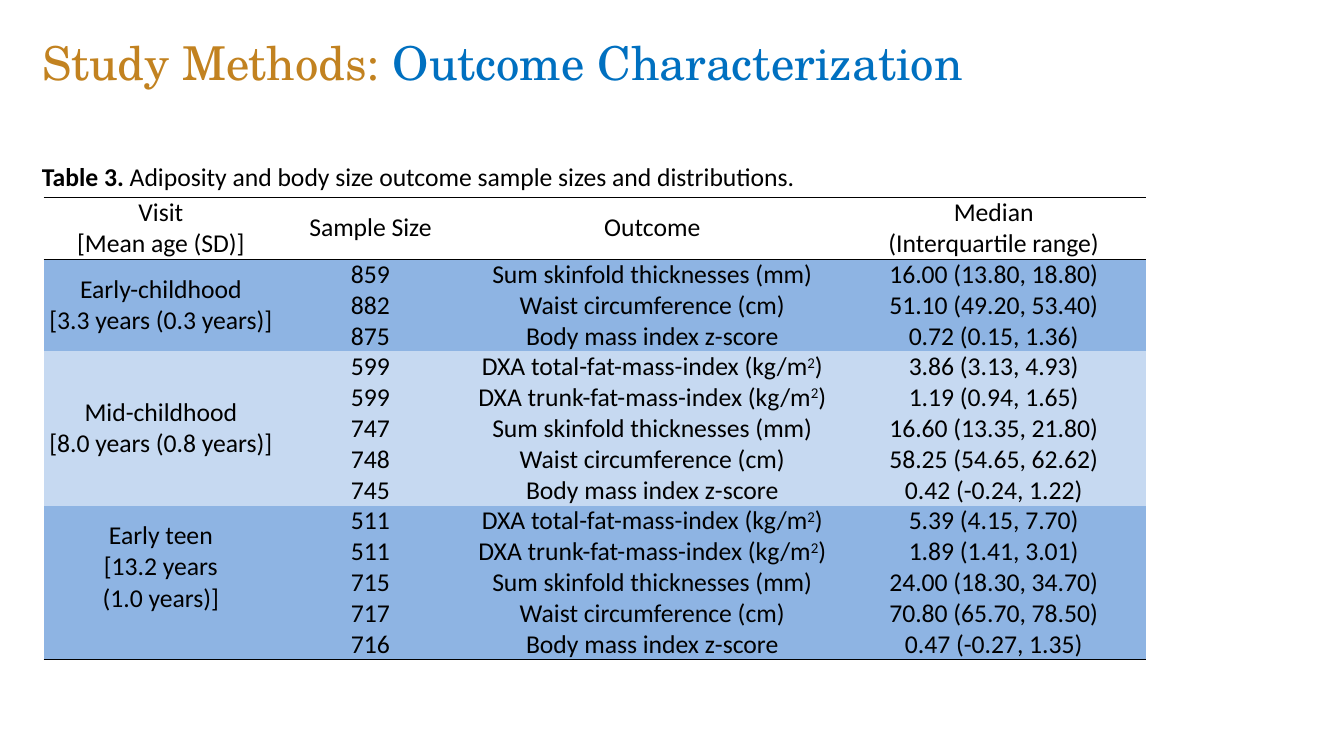
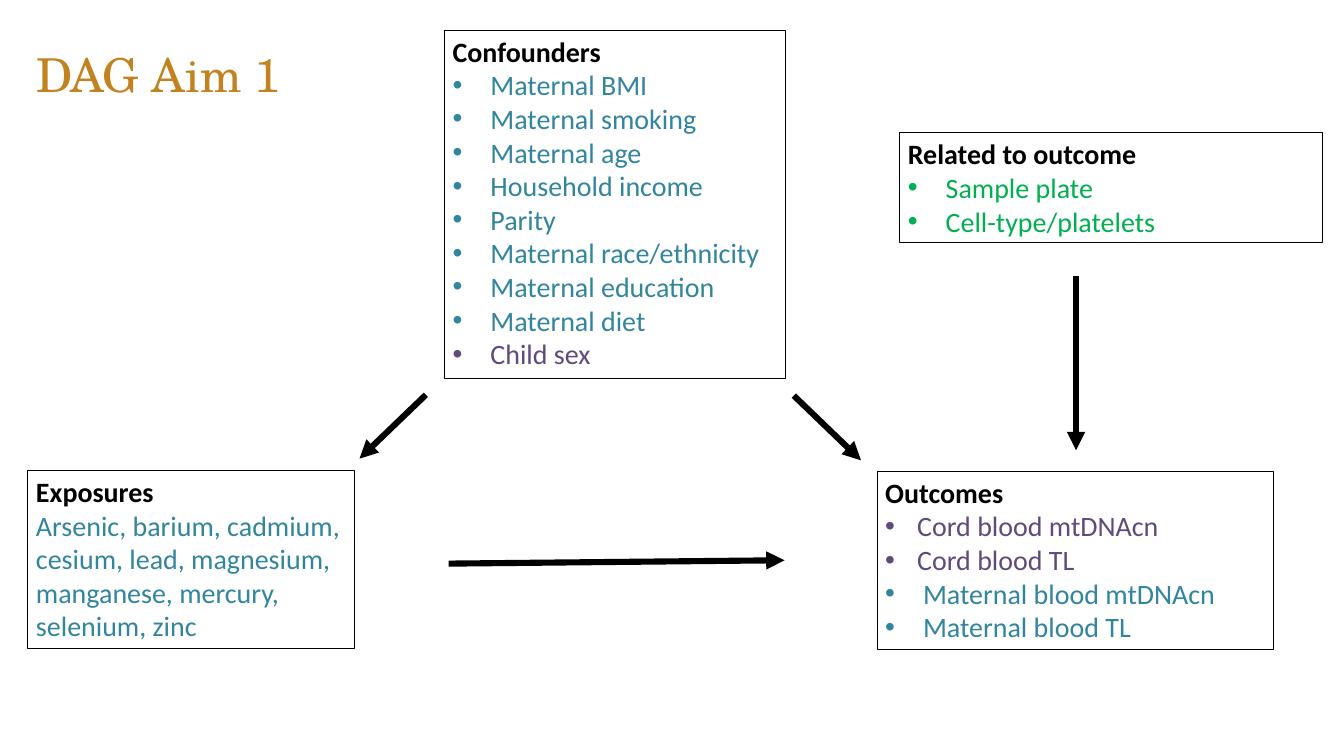
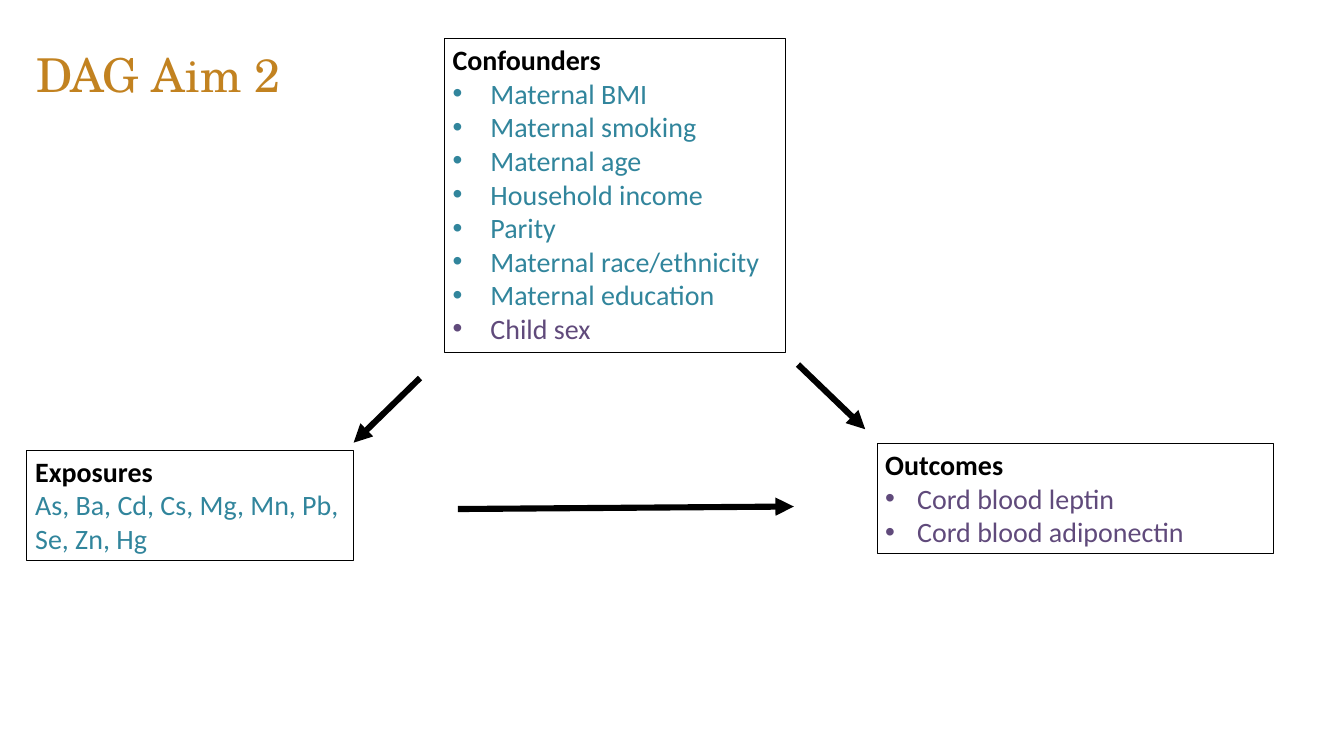
"""Builds three slides on outcome characterization and the DAGs of two study aims."""
from lxml.etree import SubElement
from pptx import Presentation
from pptx.dml.color import RGBColor
from pptx.enum.shapes import MSO_CONNECTOR as Connector, MSO_SHAPE as Preset
from pptx.enum.text import MSO_ANCHOR as Anchor, MSO_AUTO_SIZE as AutoSize, PP_ALIGN as Align
from pptx.oxml.ns import qn
from pptx.util import Inches, Pt

COLORS = {
    "black": "000000", "gold": "C28220", "blue": "0070C0", "teal": "31859C",
    "purple": "604A7B", "green": "00B050", "band": "8EB4E3", "pale": "C6D9F1",
}
BODY_FONT = "Calibri"
TITLE_FONT = "TeX Gyre Schola"
PLAIN_TABLE = "{2D5ABB26-0587-4C30-8999-92F81FD0307C}"


def color(name):
    return RGBColor.from_string(COLORS[name])


def write(para, text, size=22, ink="black", bold=False, font=BODY_FONT, raised=False):
    span = para.add_run()
    span.text = text
    span.font.size = Pt(size)
    span.font.name = font
    span.font.bold = bold
    span.font.color.rgb = color(ink)
    if raised:
        span.font._element.set("baseline", "30000")


def set_insets(target, side, end):
    target.margin_left = target.margin_right = Inches(side)
    target.margin_top = target.margin_bottom = Inches(end)


def add_bullet(para, indent):
    props = para._p.get_or_add_pPr()
    props.set("marL", str(Inches(indent)))
    props.set("indent", str(-Inches(indent)))
    SubElement(props, qn("a:buFont"), typeface="Arial")
    SubElement(props, qn("a:buChar"), char="•")


def add_border(cell, side):
    props = cell._tc.get_or_add_tcPr()
    line = SubElement(props, qn(f"a:ln{side}"), w=str(Pt(1)))
    fill = SubElement(line, qn("a:solidFill"))
    SubElement(fill, qn("a:srgbClr"), val=COLORS["black"])


class Slides:
    """Holds the deck, its style and the current slide."""

    def __init__(self):
        self.deck = Presentation()
        self.deck.slide_width = Inches(16)
        self.deck.slide_height = Inches(9)
        self.page = None

    def new_page(self):
        self.page = self.deck.slides.add_slide(self.deck.slide_layouts[5])

    def title(self, place, *parts, insets=(0.1, 0.05)):
        box = self.page.shapes.title
        box.left, box.top, box.width, box.height = map(Inches, place)
        frame = box.text_frame
        frame.word_wrap = True
        frame.auto_size = AutoSize.NONE
        frame.vertical_anchor = Anchor.MIDDLE
        set_insets(frame, *insets)
        para = frame.paragraphs[0]
        para.alignment = Align.LEFT
        for text, ink in parts:
            write(para, text, size=40, ink=ink, font=TITLE_FONT)

    def caption(self, place, label, text):
        frame = self.page.shapes.add_textbox(*map(Inches, place)).text_frame
        frame.word_wrap = True
        set_insets(frame, 0.12, 0.06)
        para = frame.paragraphs[0]
        write(para, label, bold=True)
        write(para, text)

    def panel(self, place, heading, items):
        box = self.page.shapes.add_shape(Preset.RECTANGLE, *map(Inches, place))
        box.shadow.inherit = False
        box.fill.background()
        box.line.color.rgb = color("black")
        box.line.width = Pt(0.75)
        frame = box.text_frame
        frame.word_wrap = True
        frame.auto_size = AutoSize.SHAPE_TO_FIT_TEXT
        frame.vertical_anchor = Anchor.TOP
        para = frame.paragraphs[0]
        para.alignment = Align.LEFT
        write(para, heading, size=24, bold=True)
        for text, ink, indent in items:
            para = frame.add_paragraph()
            para.alignment = Align.LEFT
            if indent:
                add_bullet(para, indent)
            write(para, text, size=24, ink=ink)

    def arrow(self, *ends):
        line = self.page.shapes.add_connector(Connector.STRAIGHT, *map(Inches, ends))
        line.line.color.rgb = color("black")
        line.line.width = Pt(5.25)
        SubElement(line.line._get_or_add_ln(), qn("a:tailEnd"), type="triangle")
        SubElement(line._element.spPr, qn("a:effectLst"))

    def cell(self, cell, lines, fill=None, borders=""):
        for side in borders:
            add_border(cell, side)
        if fill:
            cell.fill.solid()
            cell.fill.fore_color.rgb = color(fill)
        else:
            cell.fill.background()
        cell.vertical_anchor = Anchor.MIDDLE
        set_insets(cell, 0.04, 0)
        frame = cell.text_frame
        for number, line in enumerate(lines):
            para = frame.add_paragraph() if number else frame.paragraphs[0]
            para.alignment = Align.CENTER
            for part, text in enumerate(line.split("²")):
                if part:
                    write(para, "2", raised=True)
                write(para, text)

    def table(self, place, widths, header, groups):
        count = 1 + sum(len(rows) for _, _, rows in groups)
        frame = self.page.shapes.add_table(count, len(widths), *map(Inches, place))
        table = frame.table
        table.first_row = table.horz_banding = False
        table._tbl.tblPr.find(qn("a:tableStyleId")).text = PLAIN_TABLE
        for column, width in zip(table.columns, widths):
            column.width = Inches(width)
        for number, row in enumerate(table.rows):
            row.height = Inches(0.36 if number else 0.72)
        for column, lines in enumerate(header):
            self.cell(table.cell(0, column), lines, borders="TB")
        top = 1
        for visit, fill, rows in groups:
            bottom = top + len(rows) - 1
            table.cell(top, 0).merge(table.cell(bottom, 0))
            closing = "B" if bottom == count - 1 else ""
            self.cell(table.cell(top, 0), visit, fill, closing)
            for number, values in enumerate(rows, top):
                borders = closing if number == bottom else ""
                if number > top:
                    self.cell(table.cell(number, 0), [], fill, borders)
                for column, text in enumerate(values, 1):
                    self.cell(table.cell(number, column), [text], fill, borders)
            top = bottom + 1
        return table


def bullets(ink, *texts, indent=0.45):
    return [(text, ink, indent) for text in texts]


SKINFOLD = "Sum skinfold thicknesses (mm)"
WAIST = "Waist circumference (cm)"
BMI = "Body mass index z-score"
TOTAL_FAT = "DXA total-fat-mass-index (kg/m²)"
TRUNK_FAT = "DXA trunk-fat-mass-index (kg/m²)"

HEADER = [["Visit", "[Mean age (SD)]"], ["Sample Size"], ["Outcome"],
          ["Median", "(Interquartile range)"]]
VISITS = [
    (["Early-childhood", "[3.3 years (0.3 years)]"], "band", [
        ("859", SKINFOLD, "16.00 (13.80, 18.80)"),
        ("882", WAIST, "51.10 (49.20, 53.40)"),
        ("875", BMI, "0.72 (0.15, 1.36)"),
    ]),
    (["Mid-childhood", "[8.0 years (0.8 years)]"], "pale", [
        ("599", TOTAL_FAT, "3.86 (3.13, 4.93)"),
        ("599", TRUNK_FAT, "1.19 (0.94, 1.65)"),
        ("747", SKINFOLD, "16.60 (13.35, 21.80)"),
        ("748", WAIST, "58.25 (54.65, 62.62)"),
        ("745", BMI, "0.42 (-0.24, 1.22)"),
    ]),
    (["Early teen", "[13.2 years", "(1.0 years)]"], "band", [
        ("511", TOTAL_FAT, "5.39 (4.15, 7.70)"),
        ("511", TRUNK_FAT, "1.89 (1.41, 3.01)"),
        ("715", SKINFOLD, "24.00 (18.30, 34.70)"),
        ("717", WAIST, "70.80 (65.70, 78.50)"),
        ("716", BMI, "0.47 (-0.27, 1.35)"),
    ]),
]
MATERNAL = bullets("teal", "Maternal BMI", "Maternal smoking", "Maternal age",
                   "Household income", "Parity", "Maternal race/ethnicity",
                   "Maternal education")
DIET = bullets("teal", "Maternal diet")
CHILD = bullets("purple", "Child sex")


def build_outcomes(slides):
    slides.new_page()
    slides.title((0.38, 0.14, 11.35, 1.19), ("Study Methods: ", "gold"),
                 ("Outcome Characterization", "blue"), insets=(0.12, 0.06))
    slides.caption((0.38, 1.85, 9.27, 0.44), "Table 3. ",
                   "Adiposity and body size outcome sample sizes and distributions.")
    table = slides.table((0.52, 2.35, 13.12, 5.4), (2.79, 2.2, 4.51, 3.62), HEADER, VISITS)
    table.cell(9, 0).margin_bottom = Inches(0.37)


def build_aim_1(slides):
    slides.new_page()
    slides.title((0.33, 0.49, 4.35, 0.77), ("DAG Aim 1", "gold"))
    slides.panel((5.29, 0.36, 4.06, 4.14), "Confounders", MATERNAL + DIET + CHILD)
    slides.panel((10.44, 5.61, 4.72, 2.12), "Outcomes",
                 bullets("purple", "Cord blood mtDNAcn", "Cord blood TL", indent=0.38)
                 + bullets("teal", "Maternal blood mtDNAcn", "Maternal blood TL"))
    slides.panel((10.71, 1.58, 5.03, 1.31), "Related to outcome",
                 bullets("green", "Sample plate", "Cell-type/platelets"))
    slides.panel((0.33, 5.6, 3.89, 2.12), "Exposures",
                 bullets("teal", "Arsenic, barium, cadmium, cesium, lead, magnesium, "
                         "manganese, mercury, selenium, zinc", indent=0))
    slides.arrow(5.34, 6.71, 9.34, 6.67)
    slides.arrow(9.45, 4.71, 10.25, 5.48)
    slides.arrow(5.07, 4.7, 4.28, 5.46)
    slides.arrow(12.81, 3.29, 12.81, 5.36)


def build_aim_2(slides):
    slides.new_page()
    slides.title((0.33, 0.49, 3.57, 0.77), ("DAG Aim 2", "gold"))
    slides.panel((5.29, 0.46, 4.06, 3.74), "Confounders", MATERNAL + CHILD)
    slides.panel((10.44, 5.28, 4.72, 1.31), "Outcomes",
                 bullets("purple", "Cord blood leptin", "Cord blood adiponectin", indent=0.38))
    slides.panel((0.32, 5.36, 3.89, 1.31), "Exposures",
                 bullets("teal", "As, Ba, Cd, Cs, Mg, Mn, Pb, Se, Zn, Hg", indent=0))
    slides.arrow(5.45, 6.06, 9.45, 6.03)
    slides.arrow(9.5, 4.34, 10.3, 5.11)
    slides.arrow(5, 4.5, 4.21, 5.27)


def main():
    slides = Slides()
    build_outcomes(slides)
    build_aim_1(slides)
    build_aim_2(slides)
    slides.deck.save("out.pptx")


if __name__ == "__main__":
    main()
